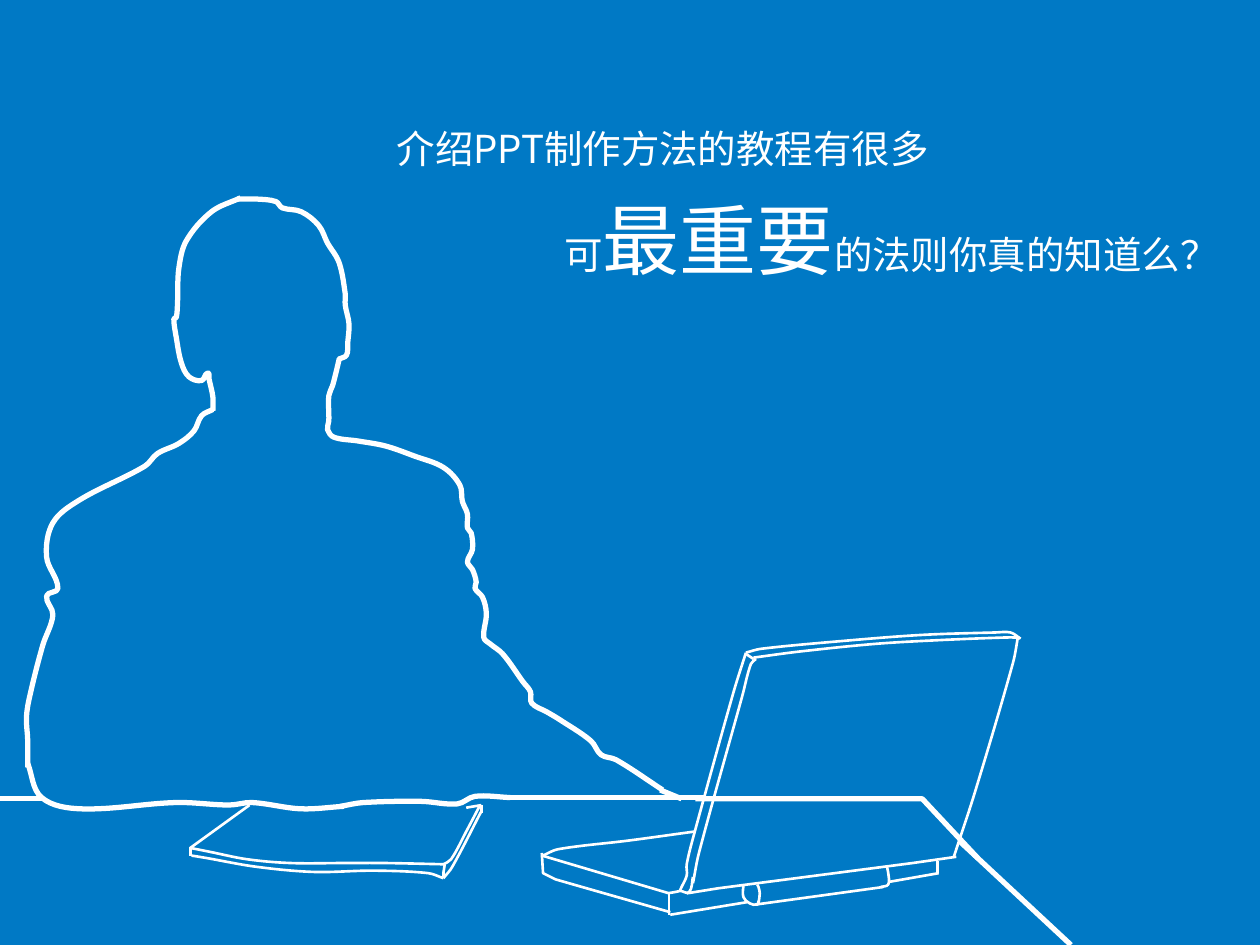
from math import hypot
from lxml.etree import SubElement
from pptx import Presentation
from pptx.dml.color import RGBColor
from pptx.enum.shapes import MSO_CONNECTOR
from pptx.enum.text import MSO_AUTO_SIZE
from pptx.oxml.ns import qn
from pptx.util import Cm, Pt

BLUE = RGBColor(0x00, 0x79, 0xC5)
WHITE = RGBColor(0xFF, 0xFF, 0xFF)
FONT = "Noto Sans CJK SC"
UNIT = Cm(2.54) / 100  # points below lie on a grid of 1/100 inch
BOLD, THIN = 3, 1.5

# Table edge
TABLE_BENDS = [[(552, 634), (732, 634), (776, 681)]]
TABLE_LINES = [
    [(762, 668), (850, 750)], [(-4, 634), (35, 634)], [(403, 633), (560, 633)],
    [(524, 627), (541, 634)],
]

# Seated person, seen from behind
LEFT_ARM = [
    (22, 609), (22, 587), (21, 569), (24, 551), (34, 512), (42, 488), (37, 473),
    (46, 467), (37, 442), (42, 415), (63, 397), (115, 370), (125, 360), (142, 352),
    (154, 342), (160, 330), (169, 325),
]
HEAD = [
    (169, 326), (169, 315), (166, 301), (165, 296), (160, 302), (150, 299),
    (144, 288), (140, 268), (138, 253), (140, 252), (141, 239), (142, 213),
    (148, 191), (168, 168), (191, 157),
]
RIGHT_ARM = [
    (188, 158), (204, 158), (219, 160), (224, 165), (239, 168), (253, 179),
    (260, 193), (269, 208), (274, 233), (274, 242), (277, 257), (276, 272),
    (275, 282), (269, 285), (269, 286), (264, 306), (261, 314), (261, 334),
    (260, 341), (265, 347), (284, 350), (306, 354), (329, 362), (352, 371),
    (365, 385), (367, 398), (371, 408), (371, 419), (374, 423), (375, 436),
    (371, 446), (375, 452), (378, 462), (377, 467), (383, 474), (386, 487),
    (384, 506), (389, 511), (399, 519), (415, 541), (421, 549), (422, 558),
    (434, 565), (444, 571), (469, 588), (477, 599), (489, 603), (526, 627),
]
WAIST = [
    (273, 640), (239, 642), (200, 637), (182, 639), (140, 637), (64, 642),
    (33, 633), (22, 606),
]
SLEEVE = [(270, 640), (288, 637), (334, 636), (363, 638), (377, 632), (405, 633)]
PERSON = [LEFT_ARM, HEAD, RIGHT_ARM, WAIST, SLEEVE]

# Laptop
LAPTOP_BENDS = [
    [(430, 677), (431, 693), (441, 698), (532, 724)],
    [(545, 709), (570, 705), (724, 685), (759, 680)],
]
LAPTOP_LINES = [
    [(430, 679), (531, 709)], [(531, 709), (531, 726)], [(532, 726), (593, 716)],
    [(705, 700), (745, 693)], [(744, 693), (744, 683)], [(599, 718), (701, 704)],
    [(592, 519), (598, 523)],
]
LAPTOP_CURVES = [
    [(431, 679), (443, 674), (500, 667), (551, 660)],
    [(530, 709), (540, 707), (540, 706), (545, 695), (545, 686), (552, 658),
     (582, 550), (592, 518)],
    [(600, 523), (596, 527), (589, 553), (555, 676), (550, 701)],
    [(550, 696), (547, 708), (540, 707)],
    [(808, 505), (804, 526), (774, 628), (757, 680)],
    [(590, 702), (590, 712), (595, 717), (601, 718), (602, 715)],
    [(602, 717), (603, 709), (602, 704), (601, 702)],
    [(699, 704), (705, 702), (705, 693), (704, 688)],
    [(598, 522), (636, 517), (696, 511), (748, 508), (798, 506), (809, 506)],
    [(592, 518), (604, 515), (666, 509), (731, 504), (790, 502), (802, 502),
     (810, 507)],
]

# Notebook
BOOK_BENDS = [[(353, 686), (352, 692), (352, 697)]]
BOOK_LINES = [
    [(198, 639), (151, 673)], [(151, 672), (151, 679)], [(382, 639), (382, 645)],
]
BOOK_CURVES = [
    [(151, 673), (166, 676), (196, 682), (230, 685), (275, 685), (304, 685),
     (353, 686)],
    [(152, 679), (164, 681), (204, 688), (249, 692), (297, 691), (340, 693),
     (352, 697)],
    [(352, 686), (358, 682), (370, 660), (381, 639)],
    [(352, 697), (359, 688), (382, 644)],
    [(370, 641), (376, 640), (382, 639)],
]


def draw_line(slide, pts, width):
    ends = [round(v * UNIT) for pt in pts for v in pt]
    line = slide.shapes.add_connector(MSO_CONNECTOR.STRAIGHT, *ends)
    line.line.color.rgb = WHITE
    line.line.width = Pt(width)
    SubElement(line._element.spPr, qn("a:effectLst"))


def draw_bend(slide, pts, width):
    pts = [(round(x * UNIT), round(y * UNIT)) for x, y in pts]
    pen = slide.shapes.build_freeform(*pts[0])
    pen.add_line_segments(pts[1:], close=False)
    shape = pen.convert_to_shape()
    shape.fill.background()
    shape.line.color.rgb = WHITE
    shape.line.width = Pt(width)
    shape.shadow.inherit = False
    return shape


def handle(pts, i, size):
    """Offset along the tangent at point i, with the given length."""
    a, b = pts[max(i - 1, 0)], pts[min(i + 1, len(pts) - 1)]
    dx, dy = b[0] - a[0], b[1] - a[1]
    span = hypot(dx, dy) or 1
    return dx / span * size, dy / span * size


def draw_curve(slide, pts, width):
    """Turn each straight step of a bend into a smooth Bezier step."""
    shape = draw_bend(slide, pts, width)
    left, top = min(x for x, _ in pts), min(y for _, y in pts)
    steps = list(shape._element.iter(qn("a:lnTo")))
    for i, step in enumerate(steps):
        (x1, y1), (x2, y2) = pts[i], pts[i + 1]
        size = hypot(x2 - x1, y2 - y1) / 3
        (ax, ay), (bx, by) = handle(pts, i, size), handle(pts, i + 1, size)
        step.tag = qn("a:cubicBezTo")
        for n, (x, y) in enumerate([(x1 + ax, y1 + ay), (x2 - bx, y2 - by)]):
            pt = step.makeelement(qn("a:pt"), {
                "x": str(round((x - left) * UNIT)),
                "y": str(round((y - top) * UNIT))})
            step.insert(n, pt)


def add_text(slide, box, parts):
    shape = slide.shapes.add_textbox(*map(Cm, box))
    frame = shape.text_frame
    frame.word_wrap = True
    frame.auto_size = MSO_AUTO_SIZE.SHAPE_TO_FIT_TEXT
    for text, size in parts:
        run = frame.paragraphs[0].add_run()
        run.text = text
        run.font.size = Pt(size)
        run.font.name = FONT
        run.font.color.rgb = WHITE
        SubElement(run.font._element, qn("a:ea"), typeface=FONT)


def main():
    prs = Presentation()
    prs.slide_width, prs.slide_height = Cm(25.4), Cm(19.05)
    slide = prs.slides.add_slide(prs.slide_layouts[6])
    slide.background.fill.solid()
    slide.background.fill.fore_color.rgb = BLUE

    # Line drawing
    for draw, paths, width in [
        (draw_bend, TABLE_BENDS, BOLD),
        (draw_line, TABLE_LINES, BOLD),
        (draw_curve, PERSON, BOLD),
        (draw_bend, LAPTOP_BENDS + BOOK_BENDS, THIN),
        (draw_line, LAPTOP_LINES + BOOK_LINES, THIN),
        (draw_curve, LAPTOP_CURVES + BOOK_CURVES, THIN),
    ]:
        for pts in paths:
            draw(slide, pts, width)

    # Words
    add_text(slide, (7.75, 2.39, 11.3, 2.13), [("介绍PPT制作方法的教程有很多", 22)])
    add_text(slide, (11.13, 3.76, 14.1, 2.13),
             [("可", 22), ("最重要", 44), ("的法则你真的知道么？", 22)])
    prs.save("out.pptx")


if __name__ == "__main__":
    main()
